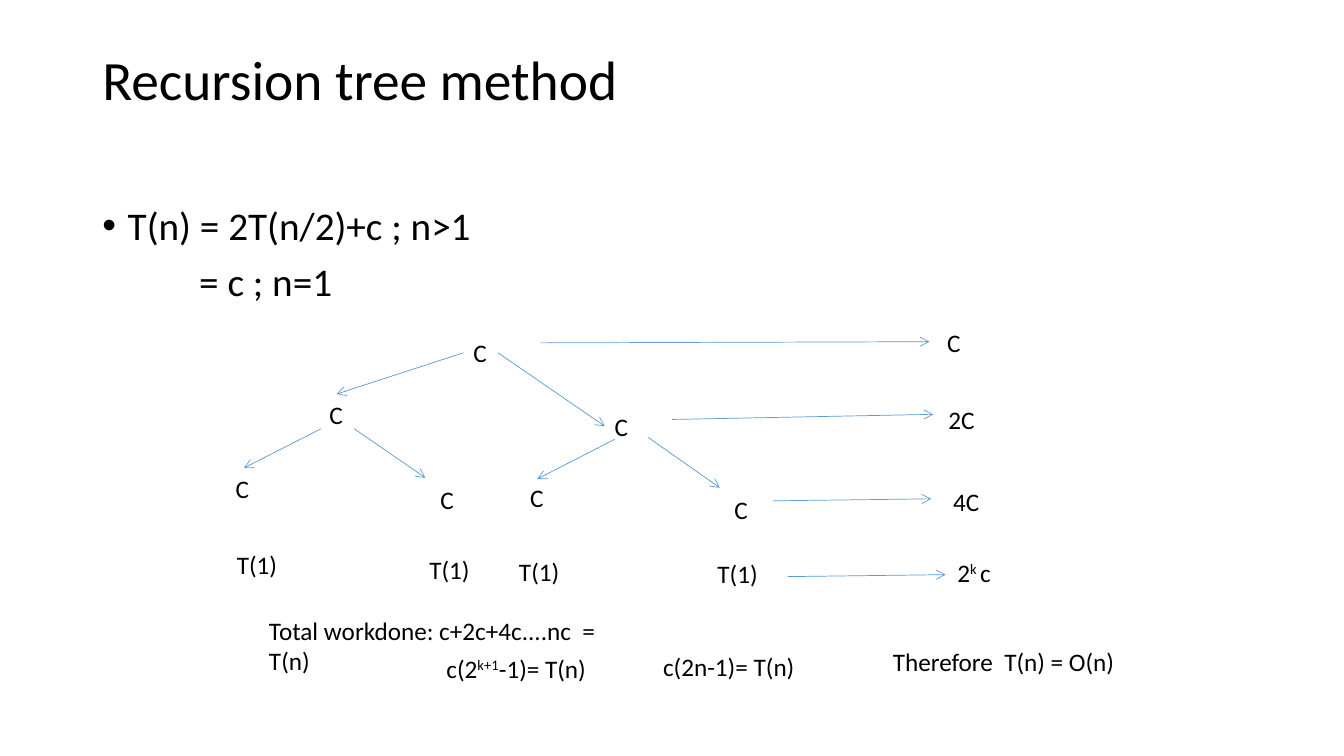
from lxml.etree import SubElement
from pptx import Presentation
from pptx.dml.color import RGBColor
from pptx.enum.shapes import MSO_CONNECTOR
from pptx.oxml.ns import qn
from pptx.util import Cm, Pt

BLACK = RGBColor(0x00, 0x00, 0x00)
BLUE = RGBColor(0x5B, 0x9B, 0xD5)
FONT = "Calibri"
LABEL_HEIGHT = 1.02
RESULT_SIZE = (6.83, 2.7)

# Content; all lengths in centimetres
TITLE = "Recursion tree method"
RECURRENCE = ["T(n) = 2T(n/2)+c ; n>1", "= c ; n=1"]

# Labels by text: width and (left, top) of each place
LABELS = [
    ("C", 0.84, [(11.68, 8.38), (8.05, 9.93), (15.24, 10.24), (5.69, 11.79),
                 (10.85, 12.09), (13.11, 12.04), (18.26, 12.32), (23.62, 8.13)]),
    ("2C", 1.17, [(23.65, 10.06)]),
    ("4C", 1.17, [(23.77, 12.14)]),
    ("T(1)", 1.52, [(5.72, 13.72), (10.57, 13.84), (12.83, 13.89), (17.83, 13.94)]),
]

# Wrapped texts: (left, top, width, height), runs; odd runs are superscript
FORMULAS = [
    ((23.88, 13.92, 2.62, LABEL_HEIGHT), ["2", "k ", "c"]),
    ((6.53, 15.37, 9.65, 1.8), ["Total workdone: c+2c+4c....nc  = T(n)"]),
    ((11, 16.33, *RESULT_SIZE), ["c(2", "k+1", "-1)= T(n)"]),
    ((16.46, 16.28, *RESULT_SIZE), ["c(2n-1)= T(n)"]),
    ((22.25, 16.15, *RESULT_SIZE), ["Therefore  T(n) = O(n)"]),
]

# Arrows: start x, start y, end x, end y
BRANCHES = [
    (12.55, 8.89, 15.24, 10.74), (11.68, 8.89, 8.48, 9.93),
    (8.92, 10.8, 10.72, 12.04), (8.1, 10.8, 6.15, 11.79),
    (16.33, 11.02, 18.14, 12.29), (15.49, 11.07, 13.54, 12.07),
]
LEVEL_COSTS = [
    (13.61, 8.64, 23.42, 8.61), (16.94, 10.57, 23.52, 10.44),
    (19.48, 12.62, 23.47, 12.57), (19.84, 14.53, 23.83, 14.48),
]


def add_text_box(slide, box, wrap=True):
    frame = slide.shapes.add_textbox(*map(Cm, box)).text_frame
    frame.word_wrap = wrap
    return frame


def style(font, size):
    font.name, font.size = FONT, Pt(size)
    font.color.rgb = BLACK


def set_indent(paragraph, margin, first_line=0.0, bullet=None):
    properties = paragraph._p.get_or_add_pPr()
    properties.set("marL", str(Cm(margin)))
    properties.set("indent", str(Cm(first_line)))
    if bullet:
        SubElement(properties, qn("a:buFont")).set("typeface", "Arial")
        SubElement(properties, qn("a:buChar")).set("char", bullet)


def add_arrow(slide, ends):
    arrow = slide.shapes.add_connector(MSO_CONNECTOR.STRAIGHT, *map(Cm, ends))
    arrow.line.color.rgb = BLUE
    arrow.line.width = Pt(0.5)
    SubElement(arrow.line._get_or_add_ln(), qn("a:tailEnd")).set("type", "arrow")
    SubElement(arrow._element.spPr, qn("a:effectLst"))


def add_heading(slide):
    frame = add_text_box(slide, (2.33, 1.02, 29.21, 3.68))
    frame.margin_top = Cm(0.3)
    frame.text = TITLE
    paragraph = frame.paragraphs[0]
    paragraph.line_spacing = 0.9
    style(paragraph.runs[0].font, 39.6)


def add_recurrence(slide):
    frame = add_text_box(slide, (2.33, 5.08, 28.55, 12.14))
    frame.text = "\n".join(RECURRENCE)
    rule, base_case = frame.paragraphs
    set_indent(rule, 0.64, -0.64, "•")
    set_indent(base_case, 2.44)
    base_case.space_before = Pt(10)
    for paragraph in frame.paragraphs:
        paragraph.line_spacing = 0.9
        style(paragraph.runs[0].font, 28)


def add_formula(slide, box, parts, wrap=True):
    paragraph = add_text_box(slide, box, wrap).paragraphs[0]
    for index, part in enumerate(parts):
        run = paragraph.add_run()
        run.text = part
        style(run.font, 18)
        if index % 2:
            run._r.get_or_add_rPr().set("baseline", "30000")


def main():
    presentation = Presentation()
    presentation.slide_width, presentation.slide_height = Cm(33.87), Cm(19.05)
    slide = presentation.slides.add_slide(presentation.slide_layouts[6])

    # Heading and recurrence
    add_heading(slide)
    add_recurrence(slide)

    # Recursion tree
    for ends in BRANCHES + LEVEL_COSTS:
        add_arrow(slide, ends)
    for text, width, places in LABELS:
        for place in places:
            add_formula(slide, (*place, width, LABEL_HEIGHT), [text], wrap=False)

    # Level cost and total work
    for box, parts in FORMULAS:
        add_formula(slide, box, parts)

    presentation.save("out.pptx")


if __name__ == "__main__":
    main()
